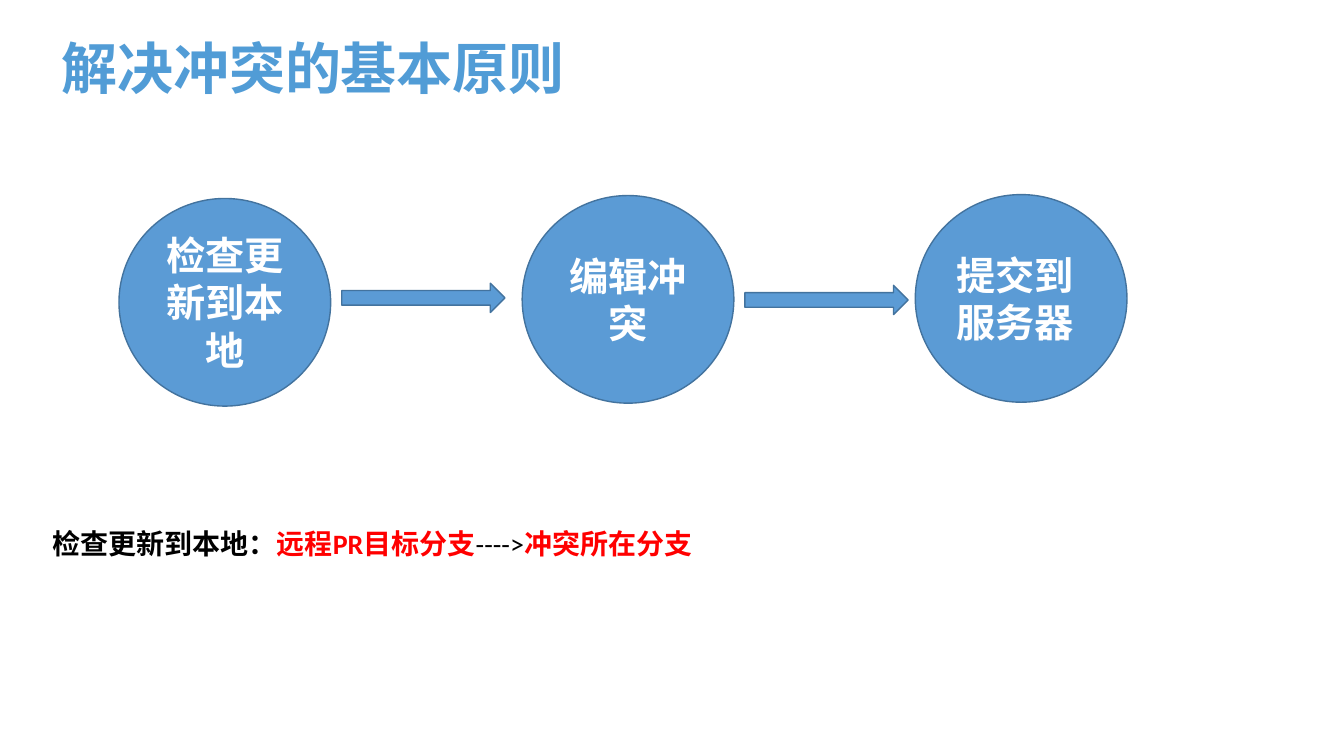
import pptx
import pptx.dml.color
import pptx.enum.shapes
import pptx.enum.text
import pptx.oxml.ns
import pptx.util

Pt = pptx.util.Pt
SHAPES = pptx.enum.shapes.MSO_SHAPE
ALIGN = pptx.enum.text.PP_ALIGN
ANCHOR = pptx.enum.text.MSO_ANCHOR
CJK = "Noto Sans CJK SC"
BLUE, EDGE, RED, BLACK, WHITE = "5B9BD5", "43739E", "FF0000", "000000", "FFFFFF"


def color(value):
    return pptx.dml.color.RGBColor.from_string(value)


def add_run(paragraph, words, size, ink, bold=True, latin="Calibri"):
    run = paragraph.add_run()
    run.text = words
    run.font.size = Pt(size)
    run.font.bold = bold
    run.font.name = latin
    run.font.color.rgb = color(ink)
    east_asian = run.font._element.makeelement(pptx.oxml.ns.qn("a:ea"), {"typeface": CJK})
    run.font._element.find(pptx.oxml.ns.qn("a:latin")).addnext(east_asian)


def add_line(slide, box, align):
    line = slide.shapes.add_textbox(*map(Pt, box))
    line.text_frame.word_wrap = True
    paragraph = line.text_frame.paragraphs[0]
    paragraph.alignment = align
    return paragraph


def add_blue_shape(slide, preset, box):
    shape = slide.shapes.add_shape(preset, *map(Pt, box))
    shape.shadow.inherit = False
    shape.fill.solid()
    shape.fill.fore_color.rgb = color(BLUE)
    shape.line.color.rgb = color(EDGE)
    shape.line.width = Pt(1)
    return shape


def draw_title(slide, box):
    heading = add_line(slide, box, ALIGN.JUSTIFY)
    add_run(heading, "解决冲突的基本原则", 40, "519CD6", latin=CJK)


def draw_flow(slide, box):
    left, top, width, height = box
    step_width, step_height = 151.2, 148.3
    steps = [
        ("检查更新到本地", 0, height - step_height, ALIGN.CENTER),
        ("编辑冲突", 288, 0.7, ALIGN.CENTER),
        ("提交到服务器", width - step_width, 0, ALIGN.LEFT),
    ]
    for name, across, down, align in steps:
        step = add_blue_shape(slide, SHAPES.OVAL,
                              (left + across, top + down, step_width, step_height))
        step.text_frame.word_wrap = True
        step.text_frame.vertical_anchor = ANCHOR.MIDDLE
        label = step.text_frame.paragraphs[0]
        label.alignment = align
        add_run(label, name, 28, WHITE)
    for (_, across, _, _), down in zip(steps, (63.3, 64.8)):
        add_blue_shape(slide, SHAPES.RIGHT_ARROW,
                       (left + across + step_width + 7.9, top + down, 116.6, 20.9))


def draw_example(slide, box):
    example = add_line(slide, box, ALIGN.LEFT)
    for words, ink, bold in [
        ("检查更新到本地：", BLACK, True),
        ("远程PR目标分支", RED, True),
        ("---->", BLACK, False),
        ("冲突所在分支", RED, True),
    ]:
        add_run(example, words, 20, ink, bold)


def main():
    deck = pptx.Presentation()
    deck.slide_width, deck.slide_height = Pt(960), Pt(540)
    slide = deck.slides.add_slide(deck.slide_layouts[6])
    draw_title(slide, (36.7, 20.2, 486.7, 54.7))
    draw_example(slide, (30.2, 372.2, 887, 31.7))
    draw_flow(slide, (85, 139, 720, 151.1))
    deck.save("out.pptx")


if __name__ == "__main__":
    main()
